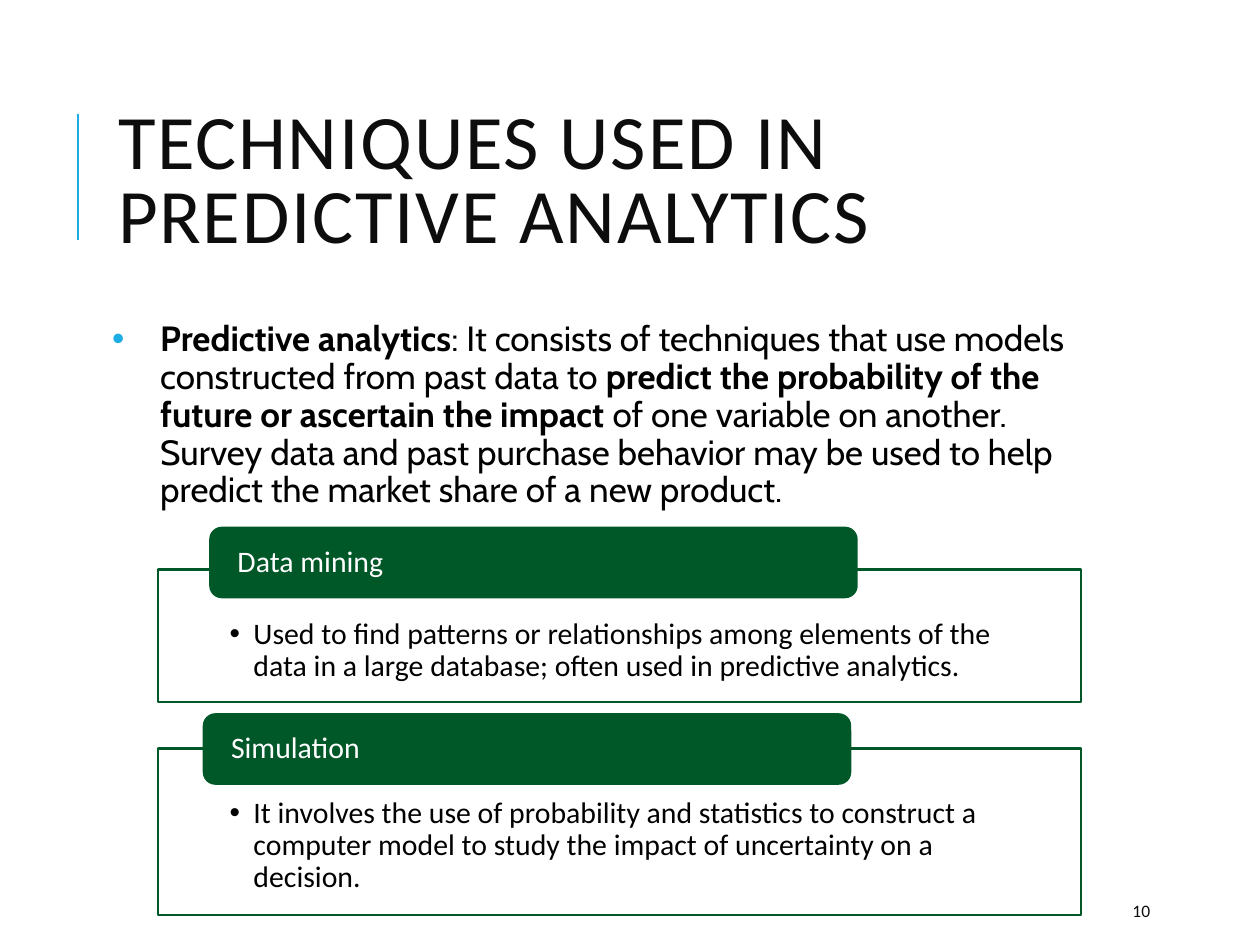
from dataclasses import dataclass

import pptx
import pptx.dml.color
import pptx.enum.shapes
import pptx.enum.text
import pptx.oxml.ns
import pptx.util
from lxml import etree

Cm = pptx.util.Cm
Pt = pptx.util.Pt
RGBColor = pptx.dml.color.RGBColor
Shape = pptx.enum.shapes.MSO_SHAPE
Anchor = pptx.enum.text.MSO_ANCHOR
qn = pptx.oxml.ns.qn

BLACK = RGBColor(0x00, 0x00, 0x00)
INK = RGBColor(0x0D, 0x0D, 0x0D)
WHITE = RGBColor(0xFF, 0xFF, 0xFF)
GREEN = RGBColor(0x00, 0x58, 0x28)
CYAN = RGBColor(0x1C, 0xAD, 0xE4)

PANEL_LEFT, PANEL_WIDTH = 3.18, 18.62
HEADER_WIDTH, HEADER_HEIGHT = 13.03, 1.4


@dataclass
class Technique:
    name: str
    description: str
    header_left: float
    header_top: float
    panel_top: float
    panel_height: float


TECHNIQUES = [
    Technique(
        "Data mining",
        "Used to find patterns or relationships among elements of the data "
        "in a large database; often used in predictive analytics.",
        4.24, 10.64, 11.48, 2.67,
    ),
    Technique(
        "Simulation",
        "It involves the use of probability and statistics to construct a "
        "computer model to study the impact of uncertainty on a decision.",
        4.11, 14.4, 15.09, 3.35,
    ),
]

# Text and whether it is bold
DEFINITION = [
    ("Predictive analytics", True),
    (": It consists of techniques that use models constructed from past data to ", False),
    ("predict the probability of the future or ascertain the impact ", True),
    ("of one variable on another. Survey data and past purchase behavior may be "
     "used to help predict the market share of a new product.", False),
]


def set_bullet(para, indent: float, color: RGBColor | None) -> None:
    """Give the paragraph a hanging bullet, indented in centimetres."""
    properties = para._p.get_or_add_pPr()
    properties.set("marL", str(Cm(indent)))
    properties.set("indent", str(-Cm(indent)))
    if color is not None:
        holder = etree.SubElement(properties, qn("a:buClr"))
        etree.SubElement(holder, qn("a:srgbClr"), val=str(color))
    etree.SubElement(properties, qn("a:buFont"), typeface="Arial")
    etree.SubElement(properties, qn("a:buChar"), char="•")


def write_text(box, spans: list[tuple[str, bool]], *, size: float, color: RGBColor,
               font: str = "Calibri", anchor=Anchor.TOP,
               insets: tuple[float, float] = (0.25, 0.13), bottom: float | None = None,
               line_spacing: float = 1.0, before: float = 0, after: float = 0,
               bullet_indent: float = 0, bullet_color: RGBColor | None = None,
               tracking: float = 0) -> None:
    """Fill the box with one paragraph; insets are horizontal and vertical in centimetres."""
    frame = box.text_frame
    frame.word_wrap = True
    frame.auto_size = pptx.enum.text.MSO_AUTO_SIZE.NONE
    frame.vertical_anchor = anchor
    side, top = insets
    frame.margin_left = frame.margin_right = Cm(side)
    frame.margin_top = Cm(top)
    frame.margin_bottom = Cm(top if bottom is None else bottom)

    para = frame.paragraphs[0]
    para.alignment = pptx.enum.text.PP_ALIGN.LEFT
    para.line_spacing = line_spacing
    para.space_before, para.space_after = Pt(before), Pt(after)
    if bullet_indent:
        set_bullet(para, bullet_indent, bullet_color)
    for text, bold in spans:
        span = para.add_run()
        span.text = text
        span.font.name, span.font.size, span.font.bold = font, Pt(size), bold
        span.font.color.rgb = color
        if tracking:
            span.font._element.set("spc", str(int(tracking * 100)))


def add_box(page, kind, left: float, top: float, width: float, height: float,
            fill: RGBColor | None = None):
    box = page.shapes.add_shape(kind, Cm(left), Cm(top), Cm(width), Cm(height))
    box.shadow.inherit = False
    box.line.color.rgb, box.line.width = GREEN, Pt(1.25)
    if fill is None:
        box.fill.background()
    else:
        box.fill.solid()
        box.fill.fore_color.rgb = fill
    return box


def add_technique(page, technique: Technique) -> None:
    panel = add_box(page, Shape.RECTANGLE, PANEL_LEFT, technique.panel_top,
                    PANEL_WIDTH, technique.panel_height)
    write_text(panel, [(technique.description, False)], size=17, color=BLACK,
               insets=(1.45, 0.99), bottom=0.33, line_spacing=0.9, bullet_indent=0.48)
    header = add_box(page, Shape.ROUNDED_RECTANGLE, technique.header_left,
                     technique.header_top, HEADER_WIDTH, HEADER_HEIGHT, GREEN)
    write_text(header, [(technique.name, False)], size=17, color=WHITE,
               anchor=Anchor.MIDDLE, insets=(0.48, 0), line_spacing=0.9)


def add_accent_line(page) -> None:
    line = page.shapes.add_connector(pptx.enum.shapes.MSO_CONNECTOR.STRAIGHT,
                                     Cm(1.57), Cm(4.83), Cm(1.57), Cm(2.29))
    line.line.color.rgb, line.line.width = CYAN, Pt(1.5)
    etree.SubElement(line._element.spPr, qn("a:effectLst"))


def main() -> None:
    deck = pptx.Presentation()
    deck.slide_width, deck.slide_height = Cm(25.4), Cm(19.05)
    page = deck.slides.add_slide(deck.slide_layouts[5])
    add_accent_line(page)

    title = page.shapes.title
    title.left, title.top, title.width, title.height = Cm(2.13), Cm(1.63), Cm(20.24), Cm(4.17)
    write_text(title, [("TECHNIQUES USED IN PREDICTIVE ANALYTICS", False)], size=44,
               color=INK, anchor=Anchor.MIDDLE, line_spacing=0.8, tracking=1)

    body = page.shapes.add_textbox(Cm(2.13), Cm(6.35), Cm(20.24), Cm(11.18))
    write_text(body, DEFINITION, size=20, color=BLACK, font="Cabin", insets=(0.13, 0.13),
               line_spacing=0.9, before=12, after=2, bullet_indent=0.97, bullet_color=CYAN)

    number = page.shapes.add_textbox(Cm(22.58), Cm(17.98), Cm(2.03), Cm(0.76))
    write_text(number, [("10", False)], size=10, color=INK, anchor=Anchor.MIDDLE)

    for technique in TECHNIQUES:
        add_technique(page, technique)
    deck.save("out.pptx")


if __name__ == "__main__":
    main()
